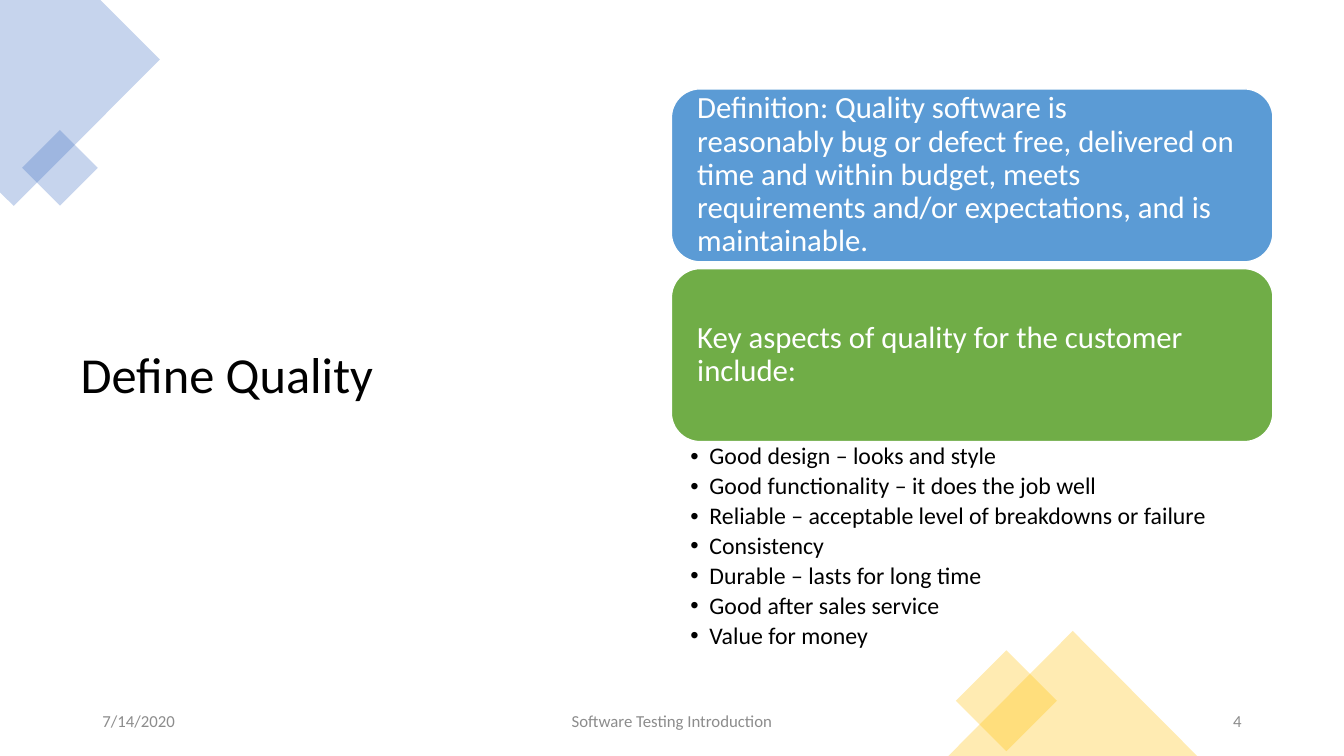
from lxml import etree
from pptx import Presentation
from pptx import util as u
from pptx.dml import color
from pptx.enum import shapes, text
from pptx.oxml import ns

Cm, Pt = u.Cm, u.Pt
FONT = "Calibri"
COLORS = {
    "black": "000000", "white": "FFFFFF", "grey": "8C8C8C",
    "indigo": "4472C4", "amber": "FFC000",
    "blue": "5B9BD5", "green": "70AD47",
}
ALIGN = text.PP_ALIGN
MIDDLE = text.MSO_ANCHOR.MIDDLE

CARDS = [
    ("blue", "Definition: Quality software is reasonably\u00a0bug or defect\u00a0free, "
             "delivered on time and within budget, meets requirements and/or "
             "expectations, and is maintainable."),
    ("green", "Key aspects of quality for the customer include:"),
]
ASPECTS = [
    "Good design – looks and style",
    "Good functionality – it does the job well",
    "Reliable – acceptable level of breakdowns or failure",
    "Consistency",
    "Durable – lasts for long time",
    "Good after sales service",
    "Value for money",
]
FOOTERS = [
    (2.33, 7.62, ALIGN.LEFT, "7/14/2020"),
    (11.22, 11.43, ALIGN.CENTER, "Software Testing Introduction"),
    (23.92, 7.62, ALIGN.RIGHT, "4"),
]
CARD_LEFT, CARD_TOP, CARD_WIDTH, CARD_HEIGHT, CARD_GAP = 16.92, 2.24, 15.16, 4.36, 0.17


def rgb(name):
    return color.RGBColor.from_string(COLORS[name])


def place(shape, left, top, width, height):
    shape.left, shape.top = Cm(left), Cm(top)
    shape.width, shape.height = Cm(width), Cm(height)


def set_frame(shape, anchor, sides=(0.25, 0.13, 0.25, 0.13)):
    frame = shape.text_frame
    frame.word_wrap = True
    frame.auto_size = text.MSO_AUTO_SIZE.NONE
    frame.vertical_anchor = anchor
    (frame.margin_left, frame.margin_top,
     frame.margin_right, frame.margin_bottom) = map(Cm, sides)
    return frame


def write(para, words, size, tint, align=ALIGN.LEFT, spacing=1.0):
    para.alignment = align
    para.line_spacing = spacing
    span = para.add_run()
    span.text = words
    span.font.name, span.font.size = FONT, Pt(size)
    span.font.color.rgb = rgb(tint)


def fill_shape(shape, tint, opacity=100):
    shape.shadow.inherit = False
    shape.fill.solid()
    shape.fill.fore_color.rgb = rgb(tint)
    shape.line.fill.background()
    if opacity < 100:
        value = shape.fill._xPr.find(".//" + ns.qn("a:srgbClr"))
        etree.SubElement(value, ns.qn("a:alpha"), val=str(opacity * 1000))


def add_diamond(page, center_x, center_y, side, tint):
    square = page.shapes.add_shape(
        shapes.MSO_SHAPE.RECTANGLE, Cm(center_x - side / 2), Cm(center_y - side / 2),
        Cm(side), Cm(side))
    square.rotation = 45
    fill_shape(square, tint, 30)


def add_corner(page, points, tint):
    start, *others = [(Cm(x), Cm(y)) for x, y in points]
    builder = page.shapes.build_freeform(*start)
    builder.add_line_segments(others, close=True)
    fill_shape(builder.convert_to_shape(), tint, 30)


def add_triangle(page, left, top, width, height, tint):
    triangle = page.shapes.add_shape(
        shapes.MSO_SHAPE.ISOSCELES_TRIANGLE, Cm(left), Cm(top), Cm(width), Cm(height))
    fill_shape(triangle, tint, 30)


def add_card(page, top, tint, words):
    card = page.shapes.add_shape(
        shapes.MSO_SHAPE.ROUNDED_RECTANGLE, Cm(CARD_LEFT), Cm(top),
        Cm(CARD_WIDTH), Cm(CARD_HEIGHT))
    fill_shape(card, tint)
    card.line.color.rgb = rgb("white")
    card.line.width = Pt(1)
    frame = set_frame(card, MIDDLE, (0.44,) * 4)
    write(frame.paragraphs[0], words, 22, "white", spacing=0.9)


def add_text_box(page, left, top, width, height):
    return page.shapes.add_textbox(Cm(left), Cm(top), Cm(width), Cm(height))


def add_bullets(page, top, items):
    box = add_text_box(page, CARD_LEFT, top, CARD_WIDTH, 5.69)
    frame = set_frame(box, text.MSO_ANCHOR.TOP, (0.48, 0.07, 0.43, 0.07))
    for index, words in enumerate(items):
        para = frame.add_paragraph() if index else frame.paragraphs[0]
        write(para, words, 17, "black", spacing=0.9)
        para.space_after = Pt(3)
        props = para._p.get_or_add_pPr()
        props.set("marL", str(Cm(0.48)))
        props.set("indent", str(-Cm(0.48)))
        etree.SubElement(props, ns.qn("a:buFont"), typeface="Arial")
        etree.SubElement(props, ns.qn("a:buChar"), char="•")


def add_footer(page, left, width, align, words):
    box = add_text_box(page, left, 17.65, width, 1.01)
    write(set_frame(box, MIDDLE).paragraphs[0], words, 12, "grey", align)


def main():
    deck = Presentation()
    deck.slide_width, deck.slide_height = Cm(33.87), Cm(19.05)
    page = deck.slides.add_slide(deck.slide_layouts[5])

    # Title
    title = page.shapes.title
    place(title, 1.78, 1.78, 13.34, 15.47)
    write(set_frame(title, MIDDLE).paragraphs[0], "Define Quality", 36, "black", spacing=0.9)

    # Corner decorations
    add_corner(page, [(0, 0), (2.53, 0), (4.03, 1.5), (0.35, 5.19), (0, 4.85)], "indigo")
    add_diamond(page, 1.51, 4.23, 1.35, "indigo")
    add_diamond(page, 25.36, 17.66, 1.8, "amber")
    add_triangle(page, 23.9, 15.9, 6.27, 3.15, "amber")

    # Definition and key aspects
    for index, (tint, words) in enumerate(CARDS):
        add_card(page, CARD_TOP + index * (CARD_HEIGHT + CARD_GAP), tint, words)
    add_bullets(page, CARD_TOP + 2 * CARD_HEIGHT + CARD_GAP, ASPECTS)

    # Footer
    for footer in FOOTERS:
        add_footer(page, *footer)

    deck.save("out.pptx")


main()
